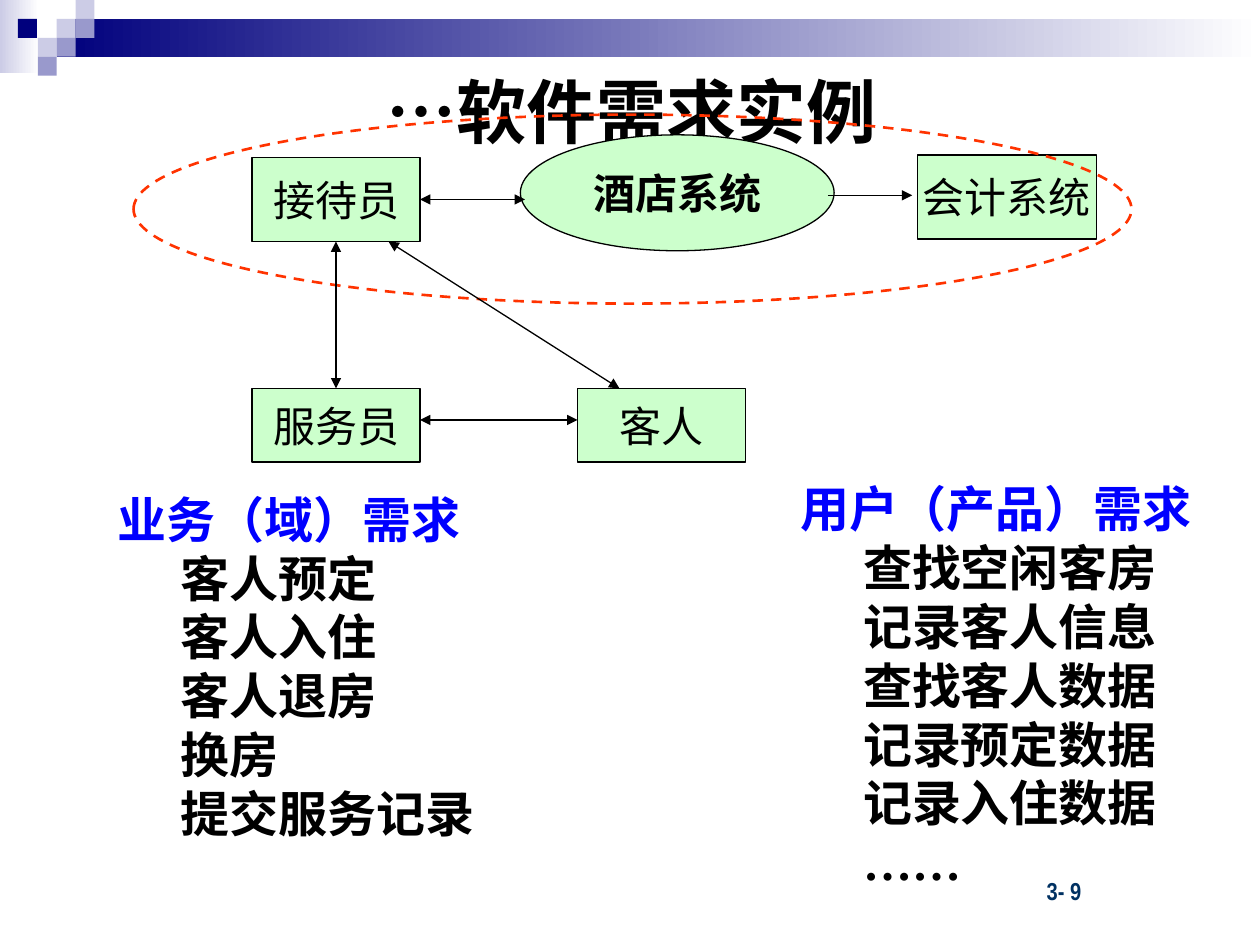
from dataclasses import dataclass

from lxml.etree import SubElement
from pptx import Presentation
from pptx.dml.color import RGBColor
from pptx.enum.dml import MSO_LINE
from pptx.enum.shapes import MSO_CONNECTOR, MSO_SHAPE
from pptx.enum.text import MSO_ANCHOR, MSO_AUTO_SIZE, PP_ALIGN
from pptx.oxml.ns import qn
from pptx.util import Inches, Pt


@dataclass(frozen=True)
class Theme:
    navy: str = "00007D"
    lilac: str = "CCCCE6"
    violet: str = "9999CC"
    white: str = "FFFFFF"
    ink: str = "000000"
    node: str = "CCFFCC"
    scope: str = "FF3300"
    heading: str = "0000FF"
    page: str = "003162"
    title_font: str = "Arial"
    text_font: str = "Times New Roman"
    page_font: str = "Arial Narrow"
    title_size: int = 40
    list_size: int = 28
    node_size: int = 24
    page_size: int = 14


T = Theme()
COLS, ROWS = 120, 90      # slide grid, twelve cells to the inch
SQUARE = 1.8              # side of a corner square, in cells


def grid(*cells):
    return [Inches(c / 12) for c in cells]


def rgb(value):
    return RGBColor.from_string(value)


def add_run(p, text, size, font, color, bold=False):
    r = p.add_run()
    r.text = text
    r.font.size, r.font.name, r.font.bold = Pt(size), font, bold
    r.font.color.rgb = rgb(color)


def add_block(s, kind, cells, *colors):
    """Filled shape without outline: one colour, or two for a gradient."""
    sp = s.shapes.add_shape(kind, *grid(*cells))
    sp.shadow.inherit = False
    sp.line.fill.background()
    if len(colors) == 2:
        sp.fill.gradient()
        sp.fill.gradient_angle = 0
        for stop, color in zip(sp.fill.gradient_stops, colors):
            stop.color.rgb = rgb(color)
    else:
        sp.fill.solid()
        sp.fill.fore_color.rgb = rgb(colors[0])
    return sp


def outline(sp, color, width):
    sp.line.color.rgb = rgb(color)
    sp.line.width = Pt(width)


def add_node(s, text, cells, kind=MSO_SHAPE.RECTANGLE, bold=False):
    sp = add_block(s, kind, cells, T.node)
    outline(sp, T.ink, 0.75)
    tf = sp.text_frame
    tf.word_wrap = False
    tf.vertical_anchor = MSO_ANCHOR.MIDDLE
    p = tf.paragraphs[0]
    p.alignment = PP_ALIGN.CENTER
    add_run(p, text, T.node_size, T.text_font, T.ink, bold)
    return sp


def add_arrow(s, start, end, both=True, begin=None, finish=None):
    """Arrow between grid points; begin and finish are (shape, side) joints."""
    cx = s.shapes.add_connector(MSO_CONNECTOR.STRAIGHT, *grid(*start, *end))
    if begin:
        cx.begin_connect(*begin)
    if finish:
        cx.end_connect(*finish)
    outline(cx, T.ink, 0.75)
    ln = cx.line._get_or_add_ln()
    for tag in ("a:headEnd", "a:tailEnd") if both else ("a:tailEnd",):
        SubElement(ln, qn(tag), type="triangle")
    SubElement(cx._element.spPr, qn("a:effectLst"))


def place(sp, cells, anchor):
    sp.left, sp.top, sp.width, sp.height = grid(*cells)
    tf = sp.text_frame
    tf.word_wrap = True
    tf.auto_size = MSO_AUTO_SIZE.NONE
    tf.vertical_anchor = anchor
    return tf


def set_margin(p, cells):
    pPr = p._p.get_or_add_pPr()
    pPr.set("marL", str(grid(cells)[0]))
    pPr.set("indent", "0")
    return pPr


def fill_list(sp, cells, heading, items):
    tf = place(sp, cells, MSO_ANCHOR.TOP)
    for i, text in enumerate([heading, *items]):
        p = tf.add_paragraph() if i else tf.paragraphs[0]
        p.level = 1 if i else 0
        SubElement(set_margin(p, 6 if i else 0), qn("a:buNone"))
        p.space_before = Pt(0)
        add_run(p, text, T.list_size, T.text_font,
                T.ink if i else T.heading, True)


def add_banner(s):
    add_block(s, MSO_SHAPE.RECTANGLE, (0, 0, 3.72, 6.96), T.lilac, T.white)
    add_block(s, MSO_SHAPE.RECTANGLE, (3 * SQUARE, SQUARE, COLS - 3 * SQUARE, 2 * SQUARE),
              T.navy, T.white)
    squares = [(3, 1, T.lilac), (4, 0, T.lilac), (4, 1, T.violet), (2, 2, T.lilac),
               (0.95, 1, T.navy), (3, 2, T.violet), (2, 3, T.violet)]
    for col, row, color in squares:
        add_block(s, MSO_SHAPE.RECTANGLE,
                  (col * SQUARE, row * SQUARE, SQUARE, SQUARE), color)


def add_page_number(s, text):
    box = s.shapes.add_textbox(*grid(87.36, 82.8, 24.96, 3.96))
    box.text_frame.word_wrap = True
    p = box.text_frame.paragraphs[0]
    set_margin(p, 11.15)
    add_run(p, text, T.page_size, T.page_font, T.page, True)


def add_diagram(s):
    # People and systems
    add_node(s, "酒店系统", (49.56, 12.84, 29.88, 11.04), MSO_SHAPE.OVAL, True)
    clerk = add_node(s, "接待员", (24, 15, 16, 8))
    add_node(s, "会计系统", (87.36, 14.76, 17.04, 8))
    add_node(s, "客人", (55, 37, 16, 7))
    waiter = add_node(s, "服务员", (24, 37, 16, 7))

    # Dashed product scope
    scope = s.shapes.add_shape(MSO_SHAPE.OVAL, *grid(12.72, 10.92, 95.04, 18))
    scope.shadow.inherit = False
    scope.fill.background()
    outline(scope, T.scope, 1.5)
    scope.line.dash_style = MSO_LINE.DASH

    # Interactions
    add_arrow(s, (40, 19), (50, 19), begin=(clerk, 3))
    add_arrow(s, (78.84, 18.6), (86.88, 18.6), both=False)
    add_arrow(s, (32, 23), (32, 37), begin=(clerk, 2), finish=(waiter, 0))
    add_arrow(s, (37, 23), (59, 37))
    add_arrow(s, (40, 40), (55, 40))


def main():
    prs = Presentation()
    prs.slide_width, prs.slide_height = grid(COLS, ROWS)
    s = prs.slides.add_slide(prs.slide_layouts[3])

    add_banner(s)
    add_page_number(s, "3- 9")

    # Title
    tf = place(s.shapes.title, (6.12, 3.36, 108, 14.4), MSO_ANCHOR.MIDDLE)
    p = tf.paragraphs[0]
    p.alignment = PP_ALIGN.CENTER
    add_run(p, "…软件需求实例", T.title_size, T.title_font, T.ink, True)

    add_diagram(s)

    # Requirement lists
    fill_list(s.placeholders[1], (10, 46, 40, 34.8), "业务（域）需求",
              ["客人预定", "客人入住", "客人退房", "换房", "提交服务记录"])
    fill_list(s.placeholders[2], (75, 45, 40, 40.44), "用户（产品）需求",
              ["查找空闲客房", "记录客人信息", "查找客人数据", "记录预定数据",
               "记录入住数据", "……"])
    prs.save("out.pptx")


if __name__ == "__main__":
    main()
